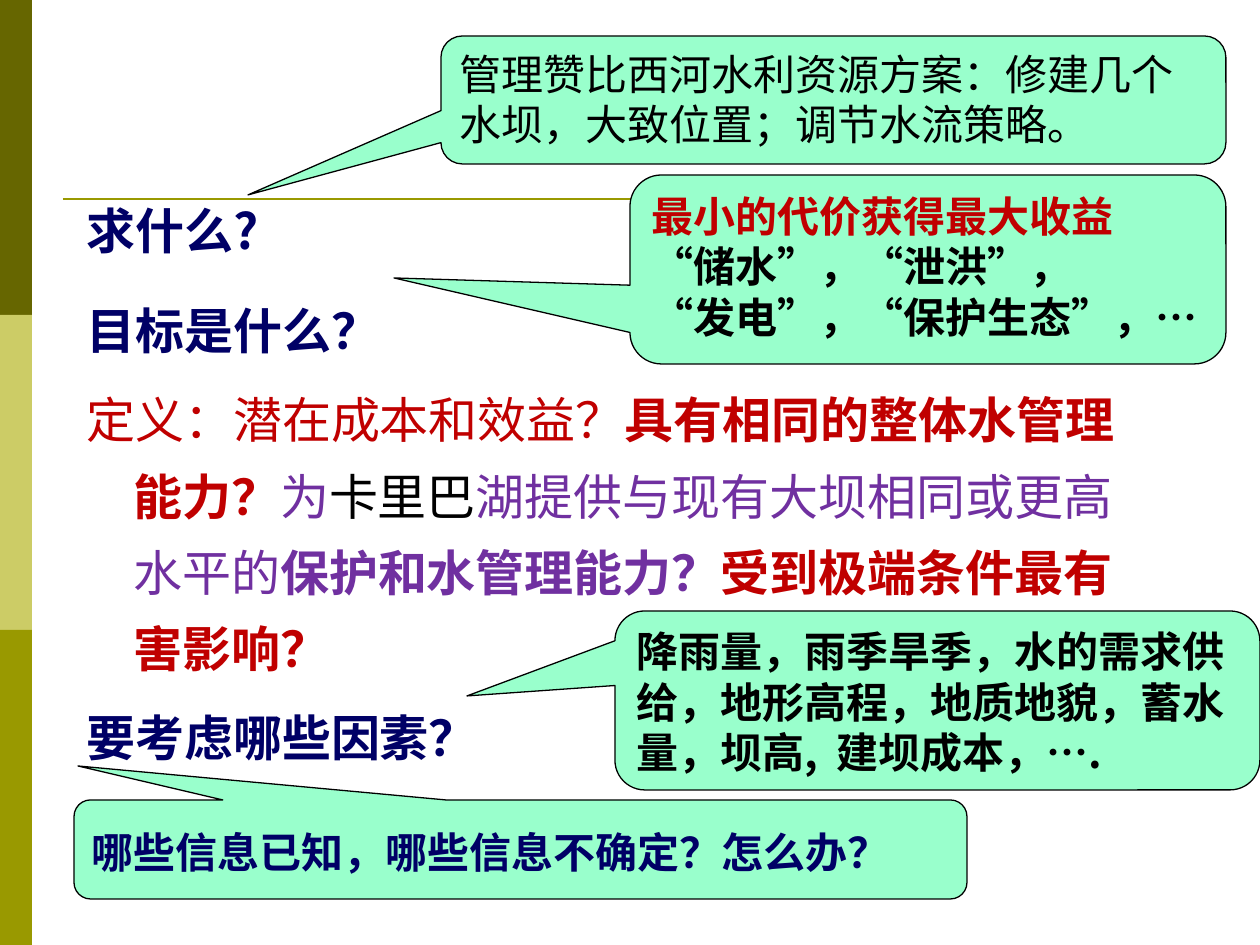
from lxml.etree import SubElement
from pptx import Presentation
from pptx.dml.color import RGBColor
from pptx.enum.shapes import MSO_CONNECTOR, MSO_SHAPE
from pptx.enum.text import MSO_ANCHOR, PP_ALIGN
from pptx.oxml.ns import qn
from pptx.util import Pt

PX = 914400 // 126
CJK, SANS = "Noto Sans CJK SC", "DejaVu Sans"
NAVY, RED, PURPLE, BLACK = "000066", "C00000", "7030A0", "000000"
MINT, OLIVE = "99FFCC", "999900"


def color(value):
    return RGBColor.from_string(value)


def add_runs(paragraph, runs, size):
    paragraph.alignment = PP_ALIGN.LEFT
    for text, font_name, hex_color, bold in runs:
        run = paragraph.add_run()
        run.text = text
        run.font.color.rgb = color(hex_color)
        for name, value in {"name": font_name, "size": Pt(size), "bold": bold}.items():
            setattr(run.font, name, value)
        properties = run.font._element
        properties.set("lang", "zh-CN")
        SubElement(properties, qn("a:ea")).set("typeface", CJK)


presentation = Presentation()
presentation.slide_width = 1260 * PX
presentation.slide_height = 945 * PX
slide = presentation.slides.add_slide(presentation.slide_layouts[6])
shapes = slide.shapes

for index, band_color in enumerate(["666600", "CCCC66", OLIVE]):
    band = shapes.add_shape(MSO_SHAPE.RECTANGLE, 0, index * 315 * PX, 32 * PX, 315 * PX)
    band.shadow.inherit = False
    band.fill.solid()
    band.fill.fore_color.rgb = color(band_color)
    band.line.fill.background()

rule = shapes.add_connector(MSO_CONNECTOR.STRAIGHT, 63 * PX, 199 * PX, 1176 * PX, 199 * PX)
rule.line.color.rgb = color(OLIVE)
rule.line.width = Pt(1.5)
SubElement(rule._element.spPr, qn("a:effectLst"))

questions = [
    ({"line_spacing": 1.1, "space_after": Pt(7)}, [("求什么?", CJK, NAVY, True)]),
    ({"line_spacing": 1.3, "space_before": Pt(7)}, [("目标是什么？", CJK, NAVY, True)]),
    ({"line_spacing": 1.3, "space_before": Pt(7)}, [
        ("定义：潜在成本和效益？", SANS, RED, False),
        ("具有相同的整体水管理能力？", SANS, RED, True),
        ("为", SANS, PURPLE, False),
        ("卡里巴", SANS, BLACK, False),
        ("湖提供与现有大坝相同或更高水平的", SANS, PURPLE, False),
        ("保护和水管理能力？", SANS, PURPLE, True),
        ("受到极端条件最有害影响？", SANS, RED, True),
    ]),
    ({"line_spacing": 1.3, "space_before": Pt(7)}, [("要考虑哪些因素？", CJK, NAVY, True)]),
]
body = shapes.add_textbox(74 * PX, 188 * PX, 1079 * PX, 708 * PX).text_frame
body.word_wrap = True
for index, (formats, runs) in enumerate(questions):
    paragraph = body.add_paragraph() if index else body.paragraphs[0]
    for name, value in formats.items():
        setattr(paragraph, name, value)
    properties = paragraph._p.get_or_add_pPr()
    properties.set("marL", str(47 * PX))
    properties.set("indent", str(-47 * PX))
    add_runs(paragraph, runs, 28)

callouts = [
    ((441, 36, 785, 128), (248, 195), 1.0, [
        ("管理赞比西河水利资源方案：修建几个水坝，大致位置；调节水流策略。", SANS, BLACK, False),
    ]),
    ((630, 175, 596, 189), (394, 278), 1.0, [
        ("最小的代价获得最大收益", CJK, RED, True),
        ("“储水”，“泄洪”，", CJK, BLACK, True),
        ("“发电”，“保护生态”，…", CJK, BLACK, True),
    ]),
    ((615, 611, 645, 179), (467, 696), 1.0, [
        ("降雨量，雨季旱季，水的需求供给，地形高程，地质地貌，蓄水量，坝高,  建坝成本，….",
         CJK, BLACK, True),
    ]),
    ((74, 800, 893, 99), (78, 766), 1.3, [
        ("哪些信息已知，哪些信息不确定？怎么办？", CJK, NAVY, True),
    ]),
]
for box, (tip_x, tip_y), spacing, lines in callouts:
    left, top, width, height = box
    callout = shapes.add_shape(MSO_SHAPE.ROUNDED_RECTANGULAR_CALLOUT, *[n * PX for n in box])
    callout.adjustments[0] = (tip_x - left) / width - 0.5
    callout.adjustments[1] = (tip_y - top) / height - 0.5
    callout.shadow.inherit = False
    callout.fill.solid()
    callout.fill.fore_color.rgb = color(MINT)
    callout.line.color.rgb = color(BLACK)
    callout.line.width = Pt(0.75)
    frame = callout.text_frame
    frame.word_wrap = True
    frame.vertical_anchor = MSO_ANCHOR.TOP
    for index, line in enumerate(lines):
        paragraph = frame.add_paragraph() if index else frame.paragraphs[0]
        paragraph.line_spacing = spacing
        add_runs(paragraph, [line], 24)

presentation.save("out.pptx")
